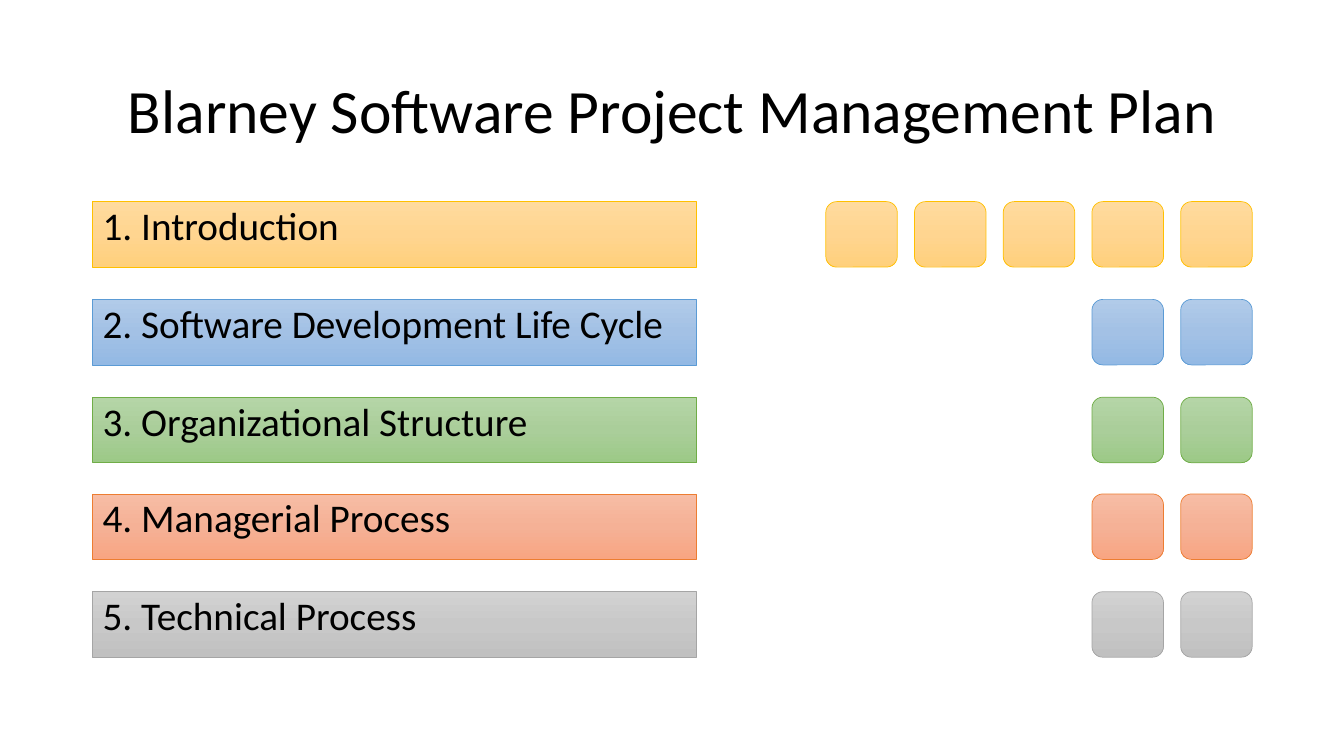
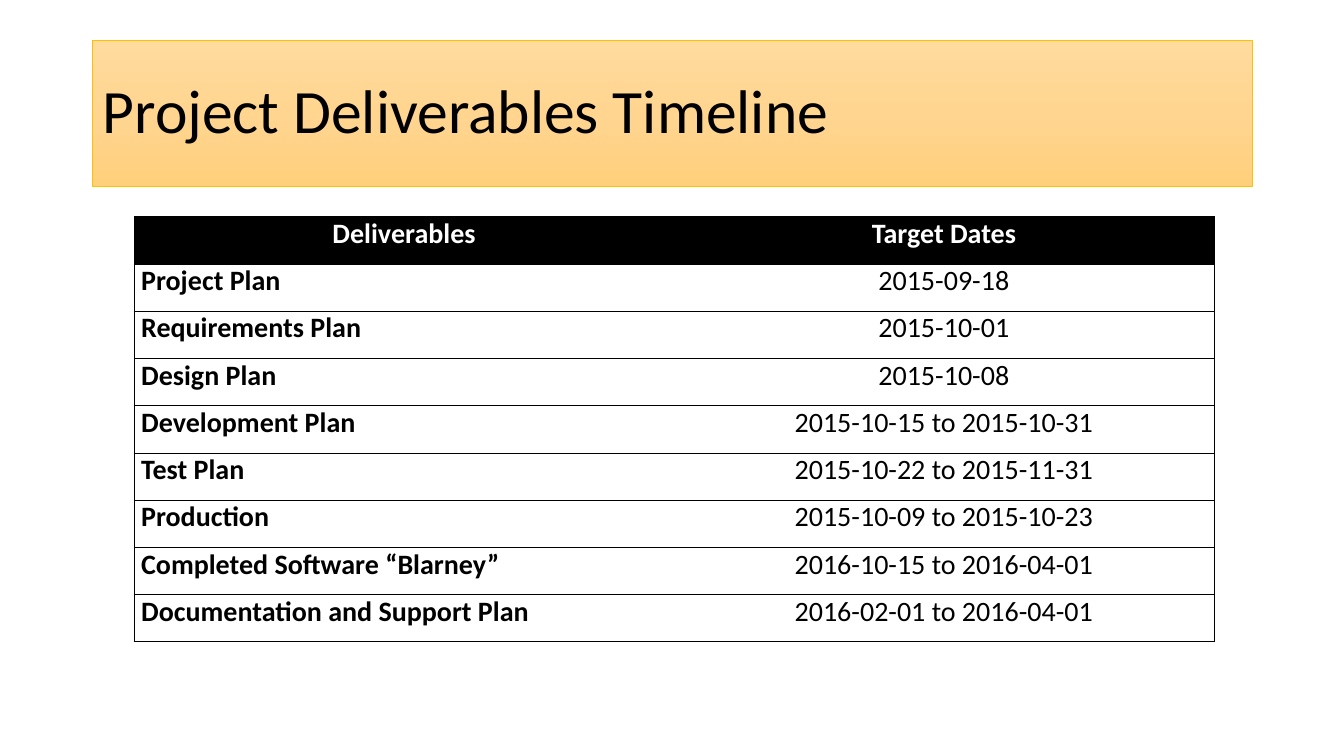
from copy import deepcopy
from dataclasses import dataclass

from lxml.etree import SubElement
from pptx import Presentation
from pptx.dml.color import RGBColor
from pptx.enum.shapes import MSO_SHAPE as Preset
from pptx.enum.text import MSO_ANCHOR as Anchor, MSO_AUTO_SIZE as AutoSize, PP_ALIGN as Align
from pptx.oxml.ns import qn
from pptx.util import Emu, Pt

PX = 9144  # 100 px to the inch


@dataclass(frozen=True)
class Tint:
    top: str
    middle: str
    bottom: str
    line: str


@dataclass(frozen=True)
class Theme:
    font: str = "Calibri"
    ink: str = "000000"
    paper: str = "FFFFFF"
    title_size: int = 44
    section_size: int = 28
    table_size: int = 20
    hairline: float = 0.5
    line_spacing: float = 0.9
    gold: Tint = Tint("FFDB9E", "FFD590", "FFD07C", "FFC000")
    blue: Tint = Tint("B1CBE9", "A3C1E5", "93B9E4", "5B9BD5")
    green: Tint = Tint("B5D5A7", "AACE9A", "9CC987", "70AD47")
    orange: Tint = Tint("F7BDA5", "F5B196", "F8A582", "ED7D31")
    grey: Tint = Tint("D2D2D2", "C8C8C8", "C0C0C0", "A5A5A5")


THEME = Theme()
SLIDE_SIZE = (1333, 750)
TITLE_BOX = (92, 40, 1150, 145)
SECTIONS_BOX = (92, 200, 1150, 452)
TABLE_BOX = (133, 215, 1071, 422)
PLAIN_TABLE_STYLE = "{2D5ABB26-0587-4C30-8999-92F81FD0307C}"

# Section name, tint, number of squares
SECTIONS = [
    ("1. Introduction", THEME.gold, 5),
    ("2. Software Development Life Cycle", THEME.blue, 2),
    ("3. Organizational Structure", THEME.green, 2),
    ("4. Managerial Process", THEME.orange, 2),
    ("5. Technical Process", THEME.grey, 2),
]

TIMELINE = [
    ("Deliverables", "Target Dates"),
    ("Project Plan", "2015-09-18"),
    ("Requirements Plan", "2015-10-01"),
    ("Design Plan", "2015-10-08"),
    ("Development Plan", "2015-10-15 to 2015-10-31"),
    ("Test Plan", "2015-10-22 to 2015-11-31"),
    ("Production", "2015-10-09 to 2015-10-23"),
    ("Completed Software “Blarney”", "2016-10-15 to 2016-04-01"),
    ("Documentation and Support Plan", "2016-02-01 to 2016-04-01"),
]


def emu(*lengths):
    return [Emu(length * PX) for length in lengths]


def set_all(target, values):
    for name, value in values.items():
        setattr(target, name, value)


def write(frame, text, size, color=THEME.ink, bold=False, **para_format):
    para = frame.paragraphs[0]
    set_all(para, para_format)
    span = para.add_run()
    span.text = text
    set_all(span.font, {"name": THEME.font, "size": Pt(size), "bold": bold})
    span.font.color.rgb = RGBColor.from_string(color)


def paint(shape, tint):
    """Give a shape a three-stop vertical gradient and a thin outline."""
    shape.fill.gradient()
    shape.fill.gradient_angle = 270
    stop_list = shape.element.spPr.find(".//" + qn("a:gsLst"))
    stop_list.insert(1, deepcopy(stop_list[0]))
    colors = (tint.top, tint.middle, tint.bottom)
    for stop, position, color in zip(shape.fill.gradient_stops, (0, 0.5, 1), colors):
        stop.position = position
        stop.color.rgb = RGBColor.from_string(color)
    shape.line.color.rgb = RGBColor.from_string(tint.line)
    shape.line.width = Pt(THEME.hairline)


def add_tile(page, preset, box, tint):
    tile = page.shapes.add_shape(preset, *emu(*box))
    tile.shadow.inherit = False
    paint(tile, tint)
    return tile


def add_titled_page(deck, text, align, tint=None):
    page = deck.slides.add_slide(deck.slide_layouts.get_by_name("Title Only"))
    title = page.shapes.title
    set_all(title, dict(zip(("left", "top", "width", "height"), emu(*TITLE_BOX))))
    set_all(title.text_frame, {"word_wrap": True, "auto_size": AutoSize.NONE,
                               "vertical_anchor": Anchor.MIDDLE})
    write(title.text_frame, text, THEME.title_size,
          alignment=align, line_spacing=THEME.line_spacing)
    if tint:
        paint(title, tint)
    return page


def add_sections(page, box):
    """Stack the section bars at the left, with right-aligned squares beside them."""
    left, top, width, height = box
    bar_width, row_height, square_width, square_pitch = 599, 65, 71, 88
    travel = height - row_height
    for row, (name, tint, count) in enumerate(SECTIONS):
        y = top + round(travel * row / (len(SECTIONS) - 1))
        bar = add_tile(page, Preset.RECTANGLE, (left, y, bar_width, row_height), tint)
        set_all(bar.text_frame, {"word_wrap": True, "vertical_anchor": Anchor.TOP})
        write(bar.text_frame, name, THEME.section_size, alignment=Align.LEFT,
              line_spacing=THEME.line_spacing, space_before=Pt(10))
        for place in range(count):
            x = left + width - square_width - place * square_pitch
            add_tile(page, Preset.ROUNDED_RECTANGLE,
                     (x, y, square_width, row_height), tint)


def add_borders(cell, sides):
    props = cell._tc.get_or_add_tcPr()
    for side in sides:
        line = SubElement(props, qn(f"a:ln{side}"), w=str(Pt(THEME.hairline)))
        solid = SubElement(line, qn("a:solidFill"))
        SubElement(solid, qn("a:srgbClr"), val=THEME.ink)


def add_timeline(page, box):
    """Place the table, ruled between rows and around the outside only."""
    frame = page.shapes.add_table(len(TIMELINE), len(TIMELINE[0]), *emu(*box))
    table = frame.table
    table._tbl.tblPr.find(qn("a:tableStyleId")).text = PLAIN_TABLE_STYLE
    set_all(table, {"first_row": True, "horz_banding": False})
    side_margin, no_margin = emu(7, 0)
    margins = {"margin_left": side_margin, "margin_right": side_margin,
               "margin_top": no_margin, "margin_bottom": no_margin}
    for row, values in enumerate(TIMELINE):
        header = row == 0
        for column, text in enumerate(values):
            cell = table.cell(row, column)
            set_all(cell, margins)
            add_borders(cell, "RTB" if column else "LTB")
            cell.fill.solid()
            cell.fill.fore_color.rgb = RGBColor.from_string(
                THEME.ink if header else THEME.paper)
            write(cell.text_frame, text, THEME.table_size,
                  color=THEME.paper if header else THEME.ink,
                  bold=header or column == 0,
                  alignment=Align.CENTER if header or column else Align.LEFT)


def main():
    deck = Presentation()
    deck.slide_width, deck.slide_height = emu(*SLIDE_SIZE)
    plan = add_titled_page(deck, "Blarney Software Project Management Plan", Align.CENTER)
    add_sections(plan, SECTIONS_BOX)
    deliverables = add_titled_page(deck, "Project Deliverables Timeline", Align.LEFT, THEME.gold)
    add_timeline(deliverables, TABLE_BOX)
    deck.save("out.pptx")


if __name__ == "__main__":
    main()
